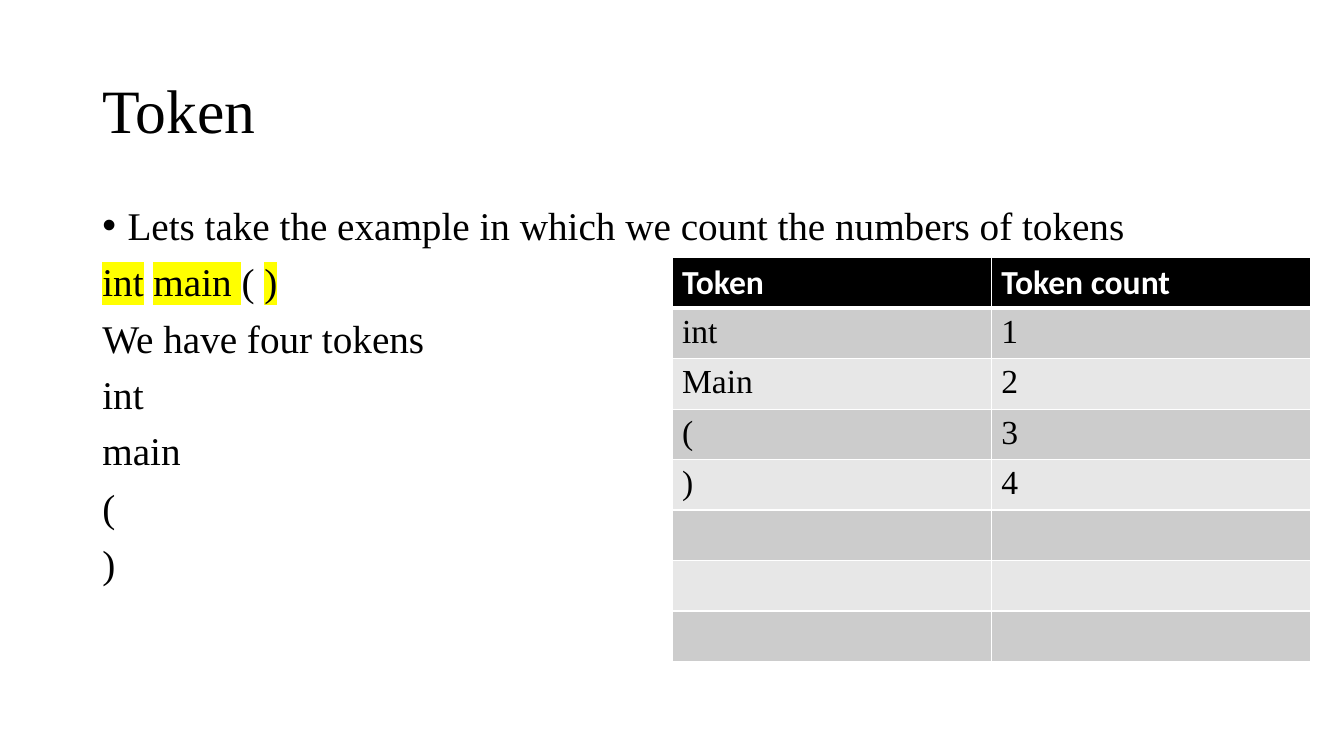
from lxml import etree
from pptx import Presentation
from pptx import util as u
from pptx.dml.color import RGBColor
from pptx.enum import text
from pptx.oxml import ns

BLACK, WHITE, YELLOW = "000000", "FFFFFF", "FFFF00"
BANDS = ("CCCCCC", "E7E7E7")
SERIF, SANS = "Times New Roman", "Calibri"


def rgb(color):
    return RGBColor.from_string(color)


def add_el(parent, tag, index=None, **attrs):
    el = etree.Element(ns.qn(tag), {k: str(v) for k, v in attrs.items()})
    parent.insert(len(parent) if index is None else index, el)
    return el


class Deck:
    """Style and current slide; lengths are cells of a 160 x 90 grid."""

    def __init__(self):
        self.prs = Presentation()
        self.prs.slide_width = u.Inches(13.33)
        self.prs.slide_height = u.Inches(7.5)
        self.s = self.prs.slides.add_slide(self.prs.slide_layouts[5])

    def x(self, cols):
        return round(self.prs.slide_width * cols / 160)

    def y(self, rows):
        return round(self.prs.slide_height * rows / 90)

    def box(self, col, row, cols, rows):
        return self.x(col), self.y(row), self.x(cols), self.y(rows)

    def style(self, p, size, name=SERIF, color=BLACK, bold=False):
        f = p.font
        f.size, f.name, f.bold = u.Pt(size), name, bold
        f.color.rgb = rgb(color)

    def title(self, words, *area):
        sp = self.s.shapes.title
        sp.left, sp.top, sp.width, sp.height = self.box(*area)
        tf = sp.text_frame
        tf.text = words
        tf.vertical_anchor = text.MSO_ANCHOR.MIDDLE
        p = tf.paragraphs[0]
        p.alignment = text.PP_ALIGN.LEFT
        p.line_spacing = 0.9
        self.style(p, 44)

    def body(self, lines, *area):
        """Each line is a list of (words, highlight) runs; the first has a bullet."""
        tf = self.s.shapes.add_textbox(*self.box(*area)).text_frame
        tf.word_wrap = True
        for i, line in enumerate(lines):
            p = tf.add_paragraph() if i else tf.paragraphs[0]
            p.line_spacing = 0.9
            if i:
                p.space_before = u.Pt(10)
            else:
                pPr = p._p.get_or_add_pPr()
                pPr.set("marL", str(u.Inches(0.25)))
                pPr.set("indent", str(-u.Inches(0.25)))
                add_el(pPr, "a:buFont", typeface="Arial")
                add_el(pPr, "a:buChar", char="•")
            self.style(p, 28)
            for words, highlight in line:
                r = p.add_run()
                r.text = words
                if highlight:
                    mark = add_el(r._r.get_or_add_rPr(), "a:highlight")
                    add_el(mark, "a:srgbClr", val=highlight)

    def borders(self, cell, **widths):
        tcPr = cell._tc.get_or_add_tcPr()
        for i, side in enumerate("LRTB"):
            ln = add_el(tcPr, f"a:ln{side}", i, w=u.Pt(widths.get(side, 1)))
            add_el(add_el(ln, "a:solidFill"), "a:srgbClr", val=WHITE)

    def table(self, rows, row_height, *area):
        tbl = self.s.shapes.add_table(len(rows), len(rows[0]), *self.box(*area)).table
        for i, values in enumerate(rows):
            tbl.rows[i].height = self.y(row_height)
            for j, value in enumerate(values):
                cell = tbl.cell(i, j)
                cell.fill.solid()
                cell.fill.fore_color.rgb = rgb(BANDS[(i - 1) % 2] if i else BLACK)
                # A thicker line parts the header from the first row
                self.borders(cell, **{0: {"B": 3}, 1: {"T": 3}}.get(i, {}))
                p = cell.text_frame.paragraphs[0]
                if i:
                    self.style(p, 24)
                else:
                    self.style(p, 24, SANS, WHITE, True)
                if value:
                    p.add_run().text = value
                else:
                    end = add_el(p._p, "a:endParaRPr", sz=2400)
                    add_el(end, "a:latin", typeface=SERIF)


def main():
    deck = Deck()

    # Title
    deck.title("Token", 11, 4.8, 138, 17.4)

    # Example and its tokens
    tokens = ["int", "main", "(", ")"]
    code = [("int", YELLOW), (" ", None), ("main ", YELLOW), ("( ", None), (")\t", YELLOW)]
    intro = "Lets take the example in which we count the numbers of tokens"
    plain = [[(words, None)] for words in ["We have four tokens", *tokens]]
    deck.body([[(intro, None)], code, *plain], 11, 24, 138, 57.1)

    # Token count, with three spare rows
    counts = [(t, str(n)) for n, t in enumerate(["int", "Main", "(", ")"], 1)]
    rows = [("Token", "Token count"), *counts] + [("", "")] * 3
    deck.table(rows, 4.9, 80, 30.7, 76, 39.2)

    deck.prs.save("out.pptx")


if __name__ == "__main__":
    main()
